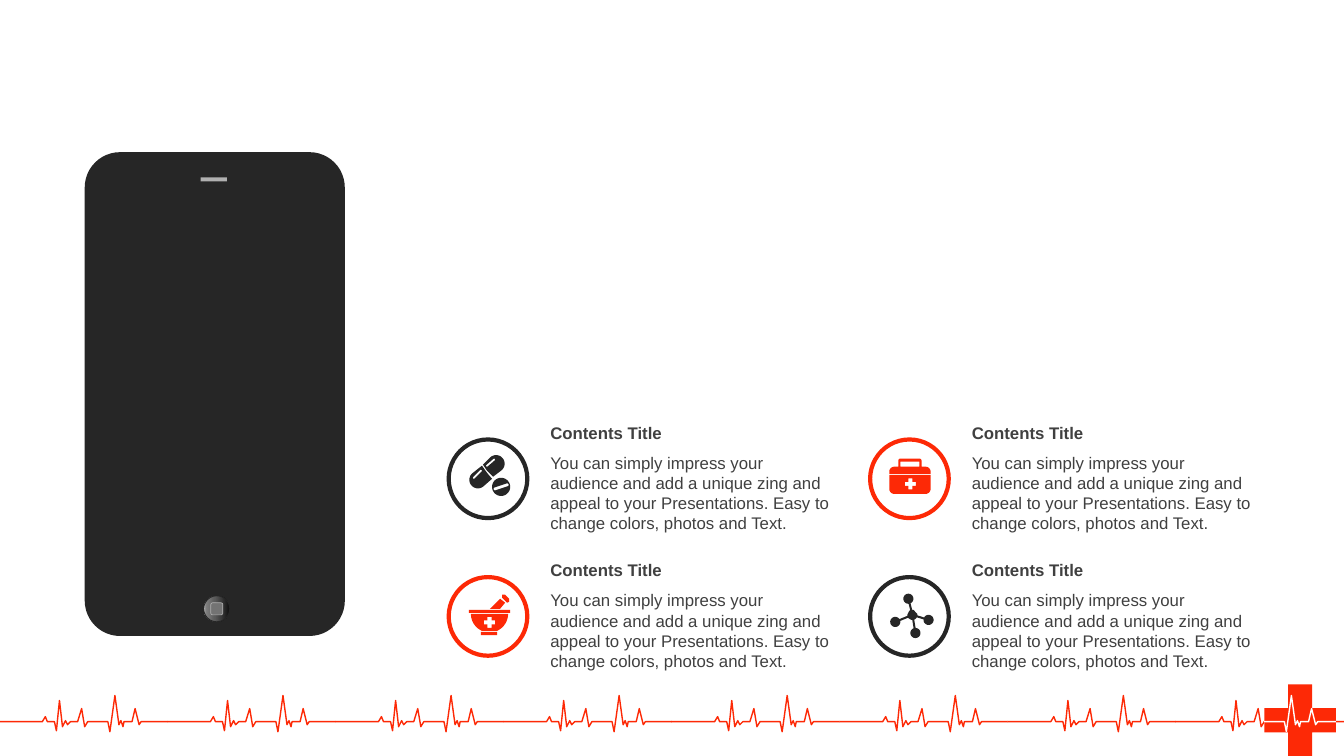
"""Build a medical slide with a phone, four captioned icons and a heartbeat strip."""
import copy
import math
from dataclasses import dataclass
from typing import Optional

import pptx
import pptx.dml.color
import pptx.enum.shapes
import pptx.enum.text
import pptx.oxml.ns
import pptx.shapes.base
import pptx.slide
import pptx.util

Point = tuple[float, float]
Outline = list[Point]
Shapes = pptx.enum.shapes.MSO_SHAPE

RED, DARK, GREY, TEXT_GREY, WHITE = "FD2906", "262626", "B0B0B0", "404040", "FFFFFF"
TITLE = "Contents Title"
BODY = (
    "You can simply impress your audience and add a unique zing and appeal to "
    "your Presentations. Easy to change colors, photos and Text."
)
HEARTBEAT: Outline = [
    (0, 7.16), (0.43, 7.16), (0.46, 7.11), (0.48, 7.16), (0.55, 7.16), (0.57, 7.25),
    (0.60, 6.95), (0.63, 7.21), (0.66, 7.15), (0.68, 7.19), (0.71, 7.16), (0.78, 7.16),
    (0.82, 7.03), (0.85, 7.21), (0.88, 7.16), (1.08, 7.16), (1.10, 7.26), (1.15, 6.90),
    (1.19, 7.19), (1.21, 7.15), (1.23, 7.21), (1.24, 7.16), (1.32, 7.16), (1.35, 7.03),
    (1.39, 7.19), (1.41, 7.16), (1.67, 7.16),
]
BEAT_COUNT, BEAT_STEP, BEAT_LEFT = 8, 1.667, -0.01


@dataclass(frozen=True)
class Feature:
    """A ringed icon with its caption."""
    column: int
    row: int
    color: str
    icon: list[Outline]


@dataclass(frozen=True)
class Part:
    """A preset shape of the phone."""
    preset: Shapes
    box: tuple[float, float, float, float]
    fill: Optional[str]
    line: Optional[str] = None
    line_width: float = 0
    corner: Optional[float] = None


def rgb(value: str) -> pptx.dml.color.RGBColor:
    """Turn a hex string into a colour."""
    return pptx.dml.color.RGBColor.from_string(value)


def arc(center: Point, radius: float, start: float, end: float) -> Outline:
    """Return points along an arc, with angles in degrees clockwise."""
    steps = max(3, round(abs(end - start) / 10))
    angles = [math.radians(start + (end - start) * step / steps) for step in range(steps + 1)]
    return [(center[0] + radius * math.cos(a), center[1] + radius * math.sin(a)) for a in angles]


def bearing(start: Point, end: Point) -> float:
    """Return the direction between two points in degrees."""
    return math.degrees(math.atan2(end[1] - start[1], end[0] - start[0]))


def stadium(start: Point, end: Point, radius: float) -> Outline:
    """Return a bar with round ends."""
    axis = bearing(start, end)
    return arc(end, radius, axis - 90, axis + 90) + arc(start, radius, axis + 90, axis + 270)


def rectangle(left: float, top: float, right: float, bottom: float) -> Outline:
    """Return the corners of a rectangle."""
    return [(left, top), (right, top), (right, bottom), (left, bottom)]


def cross(center: Point, reach: float, half: float) -> Outline:
    """Return a plus sign."""
    x, y = center
    outline: Outline = []
    for ux, uy in ((1, 0), (0, 1), (-1, 0), (0, -1)):
        for along, across in ((reach, -half), (reach, half), (half, half)):
            outline.append((x + along * ux - across * uy, y + along * uy + across * ux))
    return outline


def molecule(hub: Point, atoms: list[Point], radius: float, half_bond: float) -> Outline:
    """Return a hub joined by bonds to its atoms as one outline."""
    gap = math.degrees(math.asin(half_bond / radius))
    outline: Outline = []
    for atom in sorted(atoms, key=lambda place: bearing(hub, place)):
        axis = bearing(hub, atom)
        outline += arc(hub, radius, axis - gap - 15, axis - gap)
        outline += arc(atom, radius, axis - 180 + gap, axis + 180 - gap)
        outline += arc(hub, radius, axis + gap, axis + gap + 15)
    return outline


PILLS = [
    arc((4.74, 4.76), 0.085, 50, 230) + [(4.78, 4.62), (4.83, 4.69), (4.88, 4.75)],
    arc((4.92, 4.6), 0.085, -130, 50) + [(4.89, 4.73), (4.83, 4.67), (4.79, 4.61)],
    stadium((4.7, 4.74), (4.77, 4.67), 0.01),
    stadium((4.83, 4.62), (4.9, 4.56), 0.01),
    arc((4.97, 4.83), 0.09, 0, 360),
    stadium((4.91, 4.85), (5.03, 4.81), 0.015),
]
MEDICAL_BAG = [
    cross((9.03, 4.8), 0.055, 0.02),
    [(8.82, 4.71), (9.23, 4.71)] + arc((9.18, 4.85), 0.05, 0, 90) + arc((8.87, 4.85), 0.05, 90, 180),
    rectangle(8.93, 4.58, 9.12, 4.63),
    arc((8.93, 4.57), 0.02, 180, 270) + arc((9.12, 4.57), 0.02, -90, 0) + [(9.14, 4.63)]
    + arc((9.18, 4.68), 0.05, -90, 0) + [(9.23, 4.7), (8.82, 4.7)]
    + arc((8.87, 4.68), 0.05, 180, 270) + [(8.91, 4.63)],
]
MORTAR = [
    rectangle(4.77, 6.27, 4.93, 6.3),
    cross((4.855, 6.175), 0.055, 0.02),
    arc((4.855, 6.09), 0.185, 0, 62) + [(4.93, 6.26), (4.78, 6.26)] + arc((4.855, 6.09), 0.185, 118, 180),
    rectangle(4.65, 6.05, 5.06, 6.08),
    [(4.96, 5.94), (5.01, 5.98), (4.96, 6.04), (4.86, 6.04)],
    [(5, 5.9), (5.01, 5.9), (5.05, 5.94), (5.05, 5.97), (5.03, 5.98), (4.98, 5.93), (4.98, 5.9)],
]
MOLECULE = [molecule((9.05, 6.1), [(9.01, 5.94), (9.21, 6.15), (9.08, 6.28), (8.88, 6.17)], 0.05, 0.01)]
FEATURES = [
    Feature(0, 0, DARK, PILLS), Feature(1, 0, RED, MEDICAL_BAG),
    Feature(0, 1, RED, MORTAR), Feature(1, 1, DARK, MOLECULE),
]
PHONE = [
    Part(Shapes.ROUNDED_RECTANGLE, (0.84, 1.51, 2.58, 4.8), DARK, corner=0.136),
    Part(Shapes.RECTANGLE, (1.99, 1.76, 0.26, 0.04), GREY),
    Part(Shapes.OVAL, (2.02, 5.91, 0.26, 0.26), DARK, DARK),
    Part(Shapes.ROUNDED_RECTANGLE, (2.09, 5.98, 0.12, 0.12), "737373", GREY, 0.5),
]
BUTTON_INDEX = 2
BUTTON_STOPS = [(0, "0F0F0F"), (0.56, "595959"), (0.91, "808080"), (1, "BFBFBF")]


def style(shape: pptx.shapes.base.BaseShape, fill: Optional[str], line: Optional[str], width: float) -> None:
    """Set fill and line and drop the shadow."""
    shape.shadow.inherit = False
    for target, color in ((shape.fill, fill), (shape.line.fill, line)):
        if color is None:
            target.background()
        else:
            target.solid()
            target.fore_color.rgb = rgb(color)
    if line is not None:
        shape.line.width = pptx.util.Pt(width)


def draw_outlines(slide: pptx.slide.Slide, outlines: list[Outline], fill: Optional[str],
                  line: Optional[str] = None) -> None:
    """Draw outlines as one freeform, closed when it is filled."""
    scaled = [[(pptx.util.Inches(x), pptx.util.Inches(y)) for x, y in outline] for outline in outlines]
    builder = slide.shapes.build_freeform(*scaled[0][0])
    for index, points in enumerate(scaled):
        if index:
            builder.move_to(*points[0])
        builder.add_line_segments(points[1:], close=fill is not None)
    style(builder.convert_to_shape(), fill, line, 1)


def draw_part(slide: pptx.slide.Slide, part: Part) -> pptx.shapes.base.BaseShape:
    """Draw a preset shape."""
    shape = slide.shapes.add_shape(part.preset, *map(pptx.util.Inches, part.box))
    if part.corner is not None:
        shape.adjustments[0] = part.corner
    style(shape, part.fill, part.line, part.line_width)
    return shape


def shade_button(shape: pptx.shapes.base.BaseShape) -> None:
    """Give the home button its four-stop gradient."""
    shape.fill.gradient()
    shape.fill.gradient_angle = 180
    stop_list = shape.fill._fill._gradFill.find(pptx.oxml.ns.qn("a:gsLst"))
    for _ in range(len(BUTTON_STOPS) - len(stop_list)):
        stop_list.append(copy.deepcopy(stop_list[0]))
    for stop, (position, color) in zip(shape.fill.gradient_stops, BUTTON_STOPS):
        stop.position = position
        stop.color.rgb = rgb(color)


def draw_text(slide: pptx.slide.Slide, left: float, top: float, height: float, text: str, bold: bool) -> None:
    """Draw a caption text box."""
    frame = slide.shapes.add_textbox(*map(pptx.util.Inches, (left, top, 3.03, height))).text_frame
    frame.word_wrap = True
    frame.auto_size = pptx.enum.text.MSO_AUTO_SIZE.SHAPE_TO_FIT_TEXT
    run = frame.paragraphs[0].add_run()
    run.text = text
    run.font.name, run.font.size, run.font.bold = "Arial", pptx.util.Pt(12), bold
    run.font.color.rgb = rgb(TEXT_GREY)


def draw_feature(slide: pptx.slide.Slide, feature: Feature) -> None:
    """Draw a ring, its icon and its caption."""
    left, top = 4.45 + 4.18 * feature.column, 4.36 + 1.365 * feature.row
    draw_part(slide, Part(Shapes.OVAL, (left, top, 0.78, 0.78), None, feature.color, 3))
    draw_text(slide, left + 0.91, top + 0.08, 0.91, BODY, False)
    draw_text(slide, left + 0.91, top - 0.22, 0.3, TITLE, True)
    draw_outlines(slide, feature.icon, feature.color)


def main() -> None:
    """Build and save the slide."""
    presentation = pptx.Presentation()
    presentation.slide_width, presentation.slide_height = pptx.util.Inches(13.33), pptx.util.Inches(7.5)
    slide = presentation.slides.add_slide(presentation.slide_layouts[6])
    draw_outlines(slide, [cross((12.895, 7.145), 0.355, 0.12)], RED)
    beats = [[(BEAT_LEFT + BEAT_STEP * index + x, y) for x, y in HEARTBEAT] for index in range(BEAT_COUNT)]
    for beat in beats:
        draw_outlines(slide, [beat], None, RED)
    draw_outlines(slide, [beats[-1][14:-1] + [(13.25, 7.16)]], None, WHITE)
    phone = [draw_part(slide, part) for part in PHONE]
    shade_button(phone[BUTTON_INDEX])
    for feature in FEATURES:
        draw_feature(slide, feature)
    presentation.save("out.pptx")


if __name__ == "__main__":
    main()
